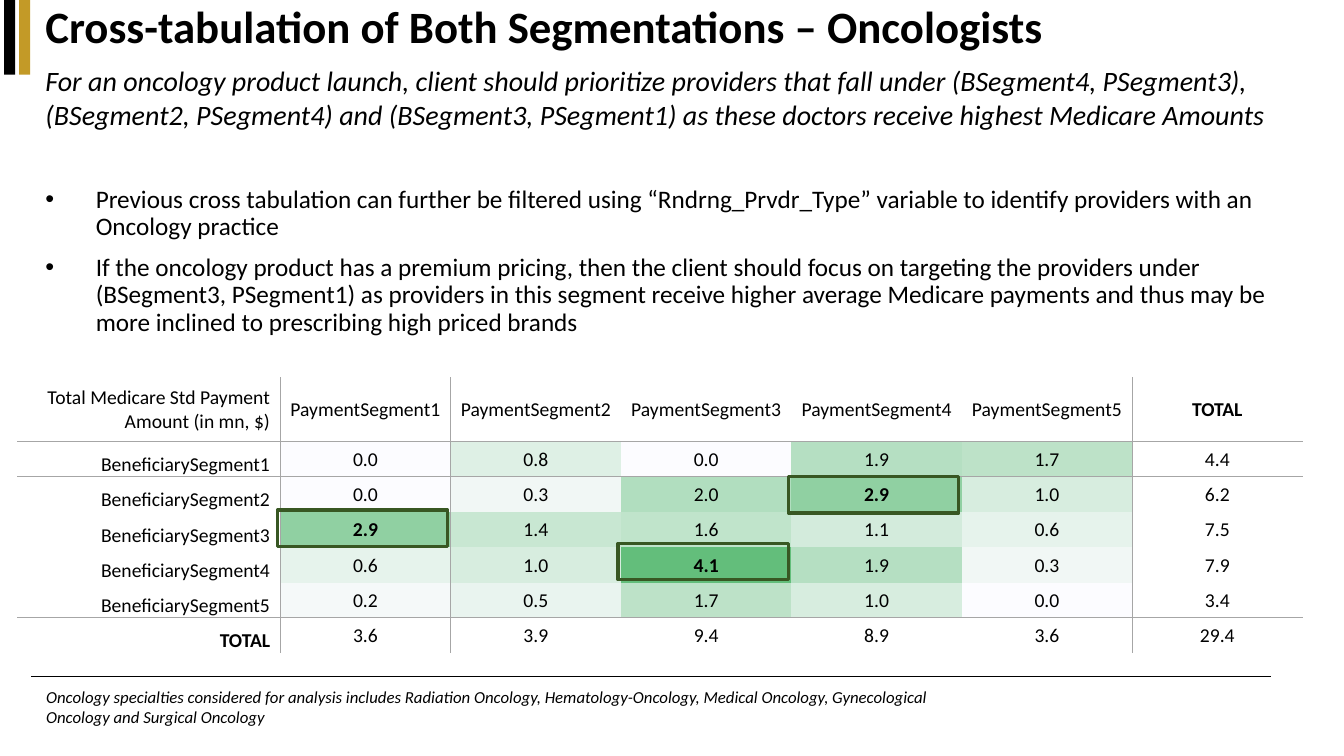
from lxml.etree import SubElement
from pptx import Presentation
from pptx.dml.color import RGBColor
from pptx.enum.shapes import MSO_CONNECTOR as Connector, MSO_SHAPE as Shape
from pptx.enum.text import MSO_ANCHOR as Anchor, MSO_AUTO_SIZE as AutoSize, PP_ALIGN as Align
from pptx.oxml.ns import qn
from pptx.util import Pt

TITLE = "Cross-tabulation of Both Segmentations – Oncologists"
SUBTITLE = (
    "For an oncology product launch, client should prioritize providers that fall under "
    "(BSegment4, PSegment3), (BSegment2, PSegment4) and (BSegment3, PSegment1) as these "
    "doctors receive highest Medicare Amounts"
)
BULLETS = [
    "Previous cross tabulation can further be filtered using “Rndrng_Prvdr_Type” variable "
    "to identify providers with an Oncology practice",
    "If the oncology product has a premium pricing, then the client should focus on targeting "
    "the providers under (BSegment3, PSegment1) as providers in this segment receive higher "
    "average Medicare payments and thus may be more inclined to prescribing high priced brands",
]
FOOTNOTE = (
    "Oncology specialties considered for analysis includes Radiation Oncology, "
    "Hematology-Oncology, Medical Oncology, Gynecological Oncology and Surgical Oncology"
)
ROWS = [
    ("Total Medicare Std Payment Amount (in mn, $)", "PaymentSegment1", "PaymentSegment2",
     "PaymentSegment3", "PaymentSegment4", "PaymentSegment5", "TOTAL"),
    ("BeneficiarySegment1", 0.0, 0.8, 0.0, 1.9, 1.7, 4.4),
    ("BeneficiarySegment2", 0.0, 0.3, 2.0, 2.9, 1.0, 6.2),
    ("BeneficiarySegment3", 2.9, 1.4, 1.6, 1.1, 0.6, 7.5),
    ("BeneficiarySegment4", 0.6, 1.0, 4.1, 1.9, 0.3, 7.9),
    ("BeneficiarySegment5", 0.2, 0.5, 1.7, 1.0, 0.0, 3.4),
    ("TOTAL", 3.6, 3.9, 9.4, 8.9, 3.6, 29.4),
]
PRIORITY_CELLS = [(2, 4), (4, 3), (3, 1)]
SEGMENTS = range(1, 6)
RULES_AFTER = (0, 5)

BLACK = RGBColor(0x00, 0x00, 0x00)
GOLD = RGBColor(0xC3, 0x9A, 0x27)
GRAY = RGBColor(0xA6, 0xA6, 0xA6)
DARK_GREEN = RGBColor(0x38, 0x57, 0x23)
HEAT_LOW = RGBColor(0xFC, 0xFC, 0xFF)
HEAT_HIGH = RGBColor(0x63, 0xBE, 0x7B)

FONT = "Calibri"
NO_GRID_STYLE = "{2D5ABB26-0587-4C30-8999-92F81FD0307C}"
TABLE_LEFT, TABLE_TOP = 17, 374
LABEL_WIDTH, COLUMN_WIDTH = 261, 169
HEADER_HEIGHT, ROW_HEIGHT = 64, 35
MARKER_LEFT, MARKER_TOP, MARKER_HEIGHT, MARKER_STEP = 275, 440, 36, 33


def px(*lengths):
    scaled = [length * 9144 for length in lengths]
    return scaled if len(scaled) > 1 else scaled[0]


def style(paragraph, size, bold=False, italic=False, align=Align.LEFT):
    font = paragraph.font
    font.name, font.size, font.bold, font.italic = FONT, Pt(size), bold, italic
    font.color.rgb = BLACK
    paragraph.alignment = align


def fill_text(shape, box, texts, size, anchor=Anchor.TOP, spacing=1.0, before=0,
              indent=0, bullet=None, **emphasis):
    shape.left, shape.top, shape.width, shape.height = px(*box)
    frame = shape.text_frame
    frame.word_wrap, frame.auto_size, frame.vertical_anchor = True, AutoSize.NONE, anchor
    frame.text = "\n".join(texts)
    for paragraph in frame.paragraphs:
        style(paragraph, size, **emphasis)
        paragraph.line_spacing, paragraph.space_before = spacing, Pt(before)
        properties = paragraph._p.get_or_add_pPr()
        properties.set("marL", str(px(indent)))
        properties.set("indent", str(px(-indent)))
        if bullet:
            SubElement(properties, qn("a:buChar"), char=bullet)
        else:
            SubElement(properties, qn("a:buNone"))


def add_box(slide, box, fill=None, line=None):
    shape = slide.shapes.add_shape(Shape.RECTANGLE, *px(*box))
    shape.shadow.inherit = False
    if fill is None:
        shape.fill.background()
    else:
        shape.fill.solid()
        shape.fill.fore_color.rgb = fill
    if line is None:
        shape.line.fill.background()
    else:
        shape.line.color.rgb, shape.line.width = line, Pt(2.25)


def heat(value, highest):
    share = value / highest
    return RGBColor(*(round(low + (high - low) * share) for low, high in zip(HEAT_LOW, HEAT_HIGH)))


def add_borders(cell, row, column):
    edges = {
        "a:lnL": column - 1 in RULES_AFTER,
        "a:lnR": column in RULES_AFTER,
        "a:lnT": row - 1 in RULES_AFTER,
        "a:lnB": row in RULES_AFTER,
    }
    properties = cell._tc.get_or_add_tcPr()
    for tag, ruled in edges.items():
        if ruled:
            line = SubElement(properties, qn(tag), w=str(Pt(1)))
            SubElement(SubElement(line, qn("a:solidFill")), qn("a:srgbClr"), val=str(GRAY))


def add_cross_table(slide):
    width = LABEL_WIDTH + COLUMN_WIDTH * (len(ROWS[0]) - 1)
    height = HEADER_HEIGHT + ROW_HEIGHT * (len(ROWS) - 1)
    table = slide.shapes.add_table(
        len(ROWS), len(ROWS[0]), *px(TABLE_LEFT, TABLE_TOP, width, height)).table
    table.first_row = table.horz_banding = False
    table._tbl.tblPr.find(qn("a:tableStyleId")).text = NO_GRID_STYLE
    for index, column in enumerate(table.columns):
        column.width = px(COLUMN_WIDTH if index else LABEL_WIDTH)
    for index, row in enumerate(table.rows):
        row.height = px(ROW_HEIGHT if index else HEADER_HEIGHT)
    highest = max(ROWS[row][column] for row in SEGMENTS for column in SEGMENTS)
    for row, values in enumerate(ROWS):
        for column, value in enumerate(values):
            cell = table.cell(row, column)
            label = column == 0
            cell.text = str(value)
            cell.margin_left, cell.margin_top, cell.margin_right, cell.margin_bottom = px(
                1, 1, 10 if label else 1, 0)
            cell.vertical_anchor = Anchor.BOTTOM if label and row else Anchor.MIDDLE
            style(cell.text_frame.paragraphs[0], 14,
                  bold=value == "TOTAL" or (row, column) in PRIORITY_CELLS,
                  align=Align.RIGHT if label else Align.CENTER)
            add_borders(cell, row, column)
            if row in SEGMENTS and column in SEGMENTS:
                cell.fill.solid()
                cell.fill.fore_color.rgb = heat(value, highest)
            else:
                cell.fill.background()


def main():
    """Build the oncologist cross-tabulation slide."""
    presentation = Presentation()
    presentation.slide_width, presentation.slide_height = px(1333, 750)
    slide = presentation.slides.add_slide(presentation.slide_layouts[3])
    title, subtitle, body = slide.placeholders

    add_box(slide, (4, 0, 11, 74), fill=BLACK)
    add_box(slide, (19, 0, 11, 74), fill=GOLD)
    rule = slide.shapes.add_connector(Connector.STRAIGHT, *px(31, 671, 1261, 671))
    rule.line.color.rgb, rule.line.width = BLACK, Pt(0.5)
    SubElement(rule._element.spPr, qn("a:effectLst"))

    fill_text(title, (35, 0, 1262, 58), [TITLE], 32, Anchor.MIDDLE, 0.9, bold=True)
    fill_text(subtitle, (35, 58, 1262, 74), [SUBTITLE], 20, before=10, italic=True)
    fill_text(body, (35, 180, 1262, 468), BULLETS, 18, spacing=0.9, before=10,
              indent=50, bullet="•")
    footnote_box = (36, 676, 957, 59)
    footnote = slide.shapes.add_textbox(*px(*footnote_box))
    fill_text(footnote, footnote_box, [FOOTNOTE], 12, italic=True)

    add_cross_table(slide)
    for row, column in PRIORITY_CELLS:
        left = MARKER_LEFT + COLUMN_WIDTH * (column - 1)
        top = MARKER_TOP + MARKER_STEP * (row - 1)
        add_box(slide, (left, top, COLUMN_WIDTH, MARKER_HEIGHT), line=DARK_GREEN)
    presentation.save("out.pptx")


if __name__ == "__main__":
    main()
